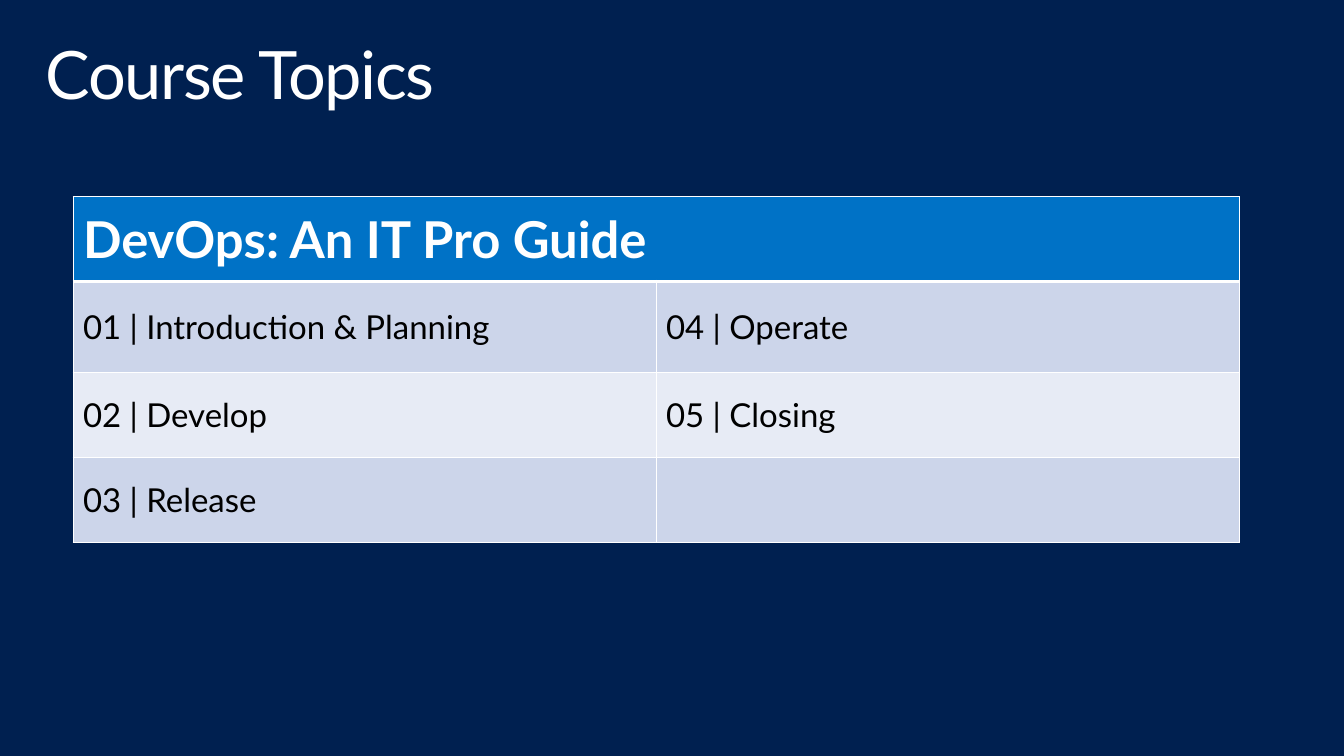
from lxml import etree
from pptx import Presentation
from pptx.dml.color import RGBColor
from pptx.enum import text
from pptx.oxml.ns import qn
from pptx.util import Inches, Pt

WIDE, HIGH = 13.6, 7.65
FONT = "Lato"
NAVY = RGBColor(0x00, 0x20, 0x50)
BLUE = RGBColor(0x00, 0x72, 0xC6)
BAND = RGBColor(0xCC, 0xD5, 0xEA)
PALE = RGBColor(0xE7, 0xEB, 0xF5)
WHITE = RGBColor(0xFF, 0xFF, 0xFF)
BLACK = RGBColor(0x00, 0x00, 0x00)

HEADER = "DevOps: An IT Pro Guide"
TOPICS = [
    ("01 | Introduction & Planning", "04 | Operate"),
    ("02 | Develop", "05 | Closing"),
    ("03 | Release", ""),
]
ROWS = [0.86, 0.92, 0.86, 0.86]


def add_run(par, words, size, color, bold=False):
    run = par.add_run()
    run.text = words
    font = run.font
    font.name, font.size, font.bold = FONT, Pt(size), bold
    font.color.rgb = color
    return run


def add_edge(cell, side, width):
    line = etree.SubElement(cell._tc.get_or_add_tcPr(), qn(f"a:ln{side}"), w=str(Pt(width)))
    fill = etree.SubElement(line, qn("a:solidFill"))
    etree.SubElement(fill, qn("a:srgbClr"), val=str(WHITE))


def style_cell(cell, row):
    for side in "LRTB":
        thick = (row, side) in ((0, "B"), (1, "T"))
        add_edge(cell, side, 3 if thick else 1)
    cell.fill.solid()
    cell.fill.fore_color.rgb = BLUE if row == 0 else BAND if row % 2 else PALE
    cell.vertical_anchor = text.MSO_ANCHOR.MIDDLE


def set_title(slide, left, top, width, height):
    title = slide.shapes.title
    title.left, title.top = Inches(left), Inches(top)
    title.width, title.height = Inches(width), Inches(height)
    frame = title.text_frame
    frame.word_wrap = True
    frame.auto_size = text.MSO_AUTO_SIZE.NONE
    frame.vertical_anchor = text.MSO_ANCHOR.TOP
    frame.margin_left = frame.margin_right = Inches(0.16)
    frame.margin_top = frame.margin_bottom = Inches(0.1)
    par = frame.paragraphs[0]
    par.alignment = text.PP_ALIGN.LEFT
    par.line_spacing = 0.9
    run = add_run(par, "Course Topics", 48.6, WHITE)
    run._r.get_or_add_rPr().set("spc", "-100")


def add_topics(slide, left, top, width):
    box = [Inches(n) for n in (left, top, width, sum(ROWS))]
    table = slide.shapes.add_table(len(ROWS), 2, *box).table
    for col in table.columns:
        col.width = Inches(width / 2)
    for row, high in enumerate(ROWS):
        table.rows[row].height = Inches(high)
        for col in range(2):
            style_cell(table.cell(row, col), row)
    head = table.cell(0, 0)
    head.merge(table.cell(0, 1))
    add_run(head.text_frame.paragraphs[0], HEADER, 37, WHITE, True)
    for row, pair in enumerate(TOPICS, 1):
        for col, topic in enumerate(pair):
            if topic:
                par = table.cell(row, col).text_frame.paragraphs[0]
                add_run(par, topic, 24, BLACK)


def main():
    deck = Presentation()
    deck.slide_width, deck.slide_height = Inches(WIDE), Inches(HIGH)
    slide = deck.slides.add_slide(deck.slide_layouts[5])
    slide.background.fill.solid()
    slide.background.fill.fore_color.rgb = NAVY
    set_title(slide, 0.3, 0.32, WIDE - 0.6, 1)
    add_topics(slide, 0.74, 1.99, 11.8)
    deck.save("out.pptx")


if __name__ == "__main__":
    main()
